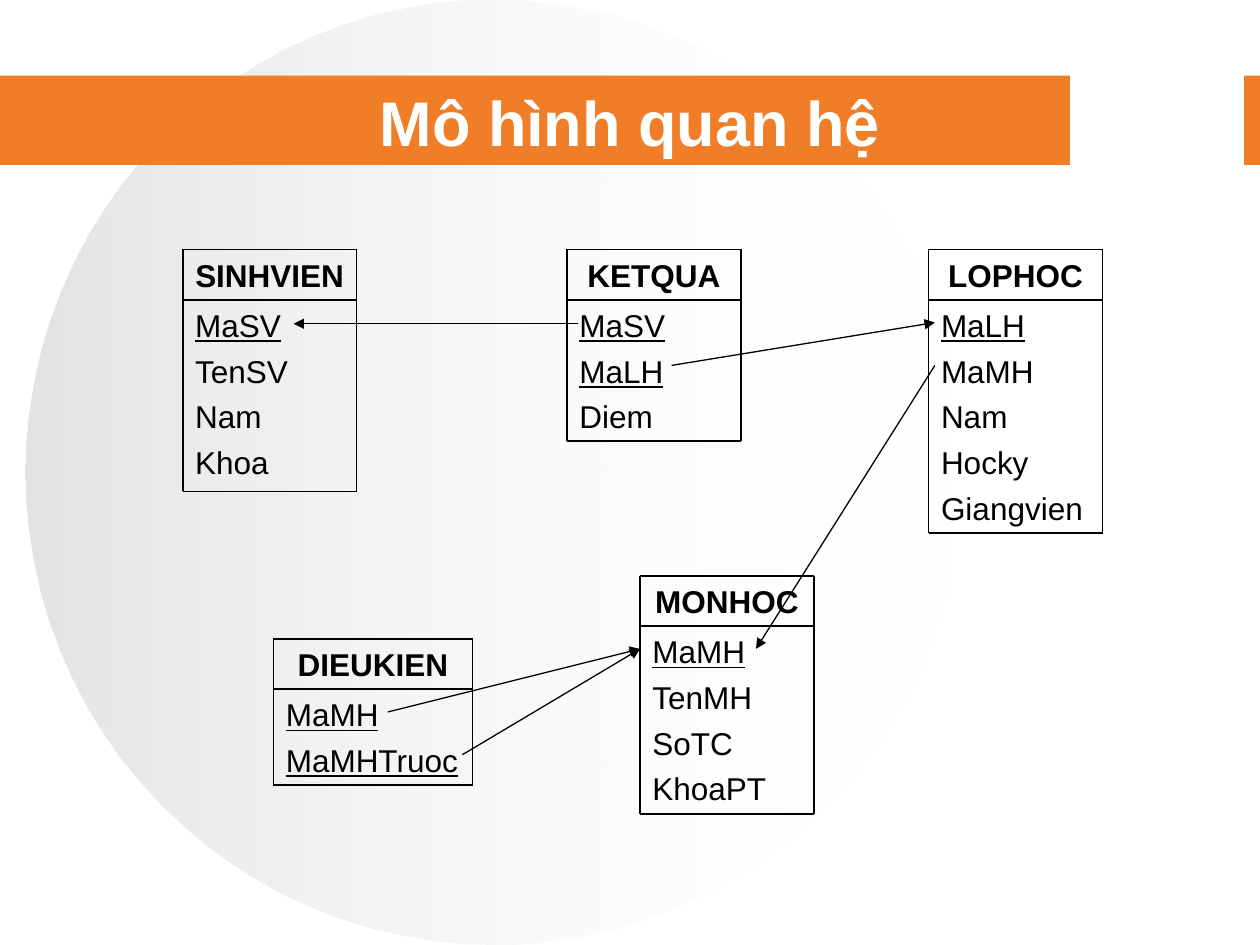
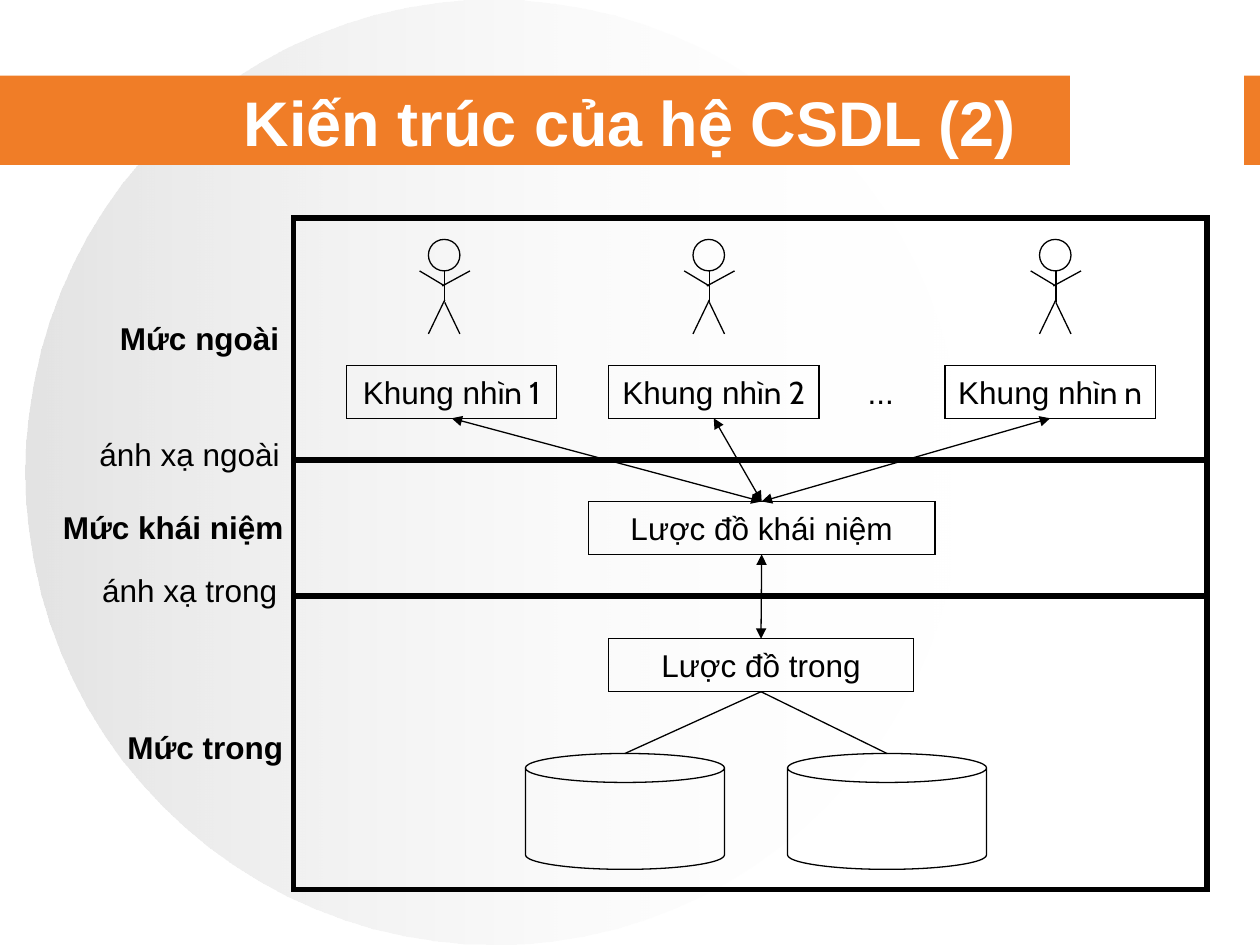
from dataclasses import dataclass

from lxml.etree import SubElement
from pptx import Presentation
from pptx.dml.color import RGBColor
from pptx.enum.shapes import MSO_CONNECTOR, MSO_SHAPE
from pptx.enum.text import MSO_ANCHOR, MSO_AUTO_SIZE, PP_ALIGN
from pptx.oxml.ns import qn
from pptx.util import Inches, Pt


@dataclass(frozen=True)
class Theme:
    orange: RGBColor = RGBColor(0xF0, 0x7D, 0x27)
    white: RGBColor = RGBColor(0xFF, 0xFF, 0xFF)
    grey: RGBColor = RGBColor(0xC0, 0xC0, 0xC0)
    black: RGBColor = RGBColor(0, 0, 0)
    font: str = "Arial"
    accent_font: str = "Cabin"
    title_size: float = 36
    text_size: float = 18
    row_gap: float = 4.5
    thin: float = 0.75
    medium: float = 1
    thick: float = 3


THEME = Theme()

# Relational model: name, left, top, width, body height, key count, columns
RELATIONS = [
    ("SINHVIEN", 1.45, 1.98, 1.38, 1.52, 1, ["MaSV", "TenSV", "Nam", "Khoa"]),
    ("MONHOC", 5.08, 4.57, 1.38, 1.49, 1, ["MaMH", "TenMH", "SoTC", "KhoaPT"]),
    ("LOPHOC", 7.37, 1.98, 1.38, 1.85, 1,
     ["MaLH", "MaMH", "Nam", "Hocky", "Giangvien"]),
    ("KETQUA", 4.5, 1.98, 1.38, 1.12, 2, ["MaSV", "MaLH", "Diem"]),
    ("DIEUKIEN", 2.17, 5.07, 1.58, 0.76, 2, ["MaMH", "MaMHTruoc"]),
]
HEADER_H = 0.4
FOREIGN_KEYS = [
    ((4.59, 2.57), (2.33, 2.57)),
    ((5.33, 2.9), (7.42, 2.56)),
    ((7.42, 2.9), (6, 5.15)),
    ((3.08, 5.65), (5.08, 5.15)),
    ((3.67, 5.99), (5.08, 5.15)),
]

# Database architecture
LEVEL_EDGES = [1.73, 3.65, 4.73, 7.06]
LEVEL_LEFT, LEVEL_W = 2.33, 7.25
# text, bold, left, top, width
LEVEL_LABELS = [
    ("Mức ngoài", True, 0.92, 2.48, 1.33),
    ("ánh xạ ngoài", False, 0.67, 3.4, 1.67),
    ("Mức khái niệm", True, 0.5, 3.98, 1.75),
    ("ánh xạ trong", False, 0.67, 4.48, 1.67),
    ("Mức trong", True, 0.92, 5.73, 1.42),
]
# ending, box left, centre of the user above it
VIEWS = [("ìn 1", 2.75, 3.53), ("ìn 2", 4.83, 5.63), ("ìn n", 7.5, 8.38)]
VIEW_TOP, VIEW_W, BOX_H = 2.9, 1.67, 0.42
CONCEPTUAL = ("Lược đồ khái niệm", 4.67, 3.98, 2.75)
INTERNAL = ("Lược đồ trong", 4.83, 5.07, 2.42)
STORES = [4.17, 6.25]
STORE_TOP, STORE_W, STORE_H = 5.98, 1.58, 0.92
HEAD_TOP, HEAD_SIZE, HEAD_SHIFT = 1.9, 0.25, 0.13
# body, legs and arms, as offsets from the centre of the head's top
LIMBS = [
    ((0, 0.25), (0, 0.5)),
    ((0, 0.48), (-0.13, 0.75)),
    ((0, 0.5), (0.12, 0.75)),
    ((0.2, 0.25), (-0.02, 0.37)),
    ((-0.2, 0.25), (0, 0.37)),
]


def write(tf, paragraphs, size=THEME.text_size, color=THEME.black, bold=False,
          align=PP_ALIGN.CENTER, anchor=MSO_ANCHOR.MIDDLE, wrap=False):
    """Fill a frame; each paragraph is a list of (text, font, underline) runs."""
    tf.word_wrap = wrap
    tf.auto_size = MSO_AUTO_SIZE.NONE
    tf.vertical_anchor = anchor
    for i, runs in enumerate(paragraphs):
        p = tf.paragraphs[0] if i == 0 else tf.add_paragraph()
        p.alignment = align
        if i:
            p.space_before = Pt(THEME.row_gap)
        for text, font, underline in runs:
            r = p.add_run()
            r.text = text
            r.font.name = font
            r.font.size = Pt(size)
            r.font.bold = bold
            r.font.underline = underline
            r.font.color.rgb = color


def plain(text):
    return [[(text, THEME.font, False)]]


def add_outline(shapes, kind, x, y, w, h, weight=THEME.thin):
    """Add an unfilled shape with a black, square-cornered outline."""
    sp = shapes.add_shape(kind, Inches(x), Inches(y), Inches(w), Inches(h))
    sp.shadow.inherit = False
    sp.fill.background()
    sp.line.color.rgb = THEME.black
    sp.line.width = Pt(weight)
    SubElement(sp.line._get_or_add_ln(), qn("a:miter"), lim="800000")
    return sp


def add_line(shapes, start, end, head=False, tail=False, weight=THEME.thin):
    cx = shapes.add_connector(MSO_CONNECTOR.STRAIGHT,
                              *(Inches(v) for v in (*start, *end)))
    cx.line.color.rgb = THEME.black
    cx.line.width = Pt(weight)
    ln = cx.line._get_or_add_ln()
    for tag, wanted in (("a:headEnd", head), ("a:tailEnd", tail)):
        if wanted:
            SubElement(ln, qn(tag), type="triangle")
    SubElement(cx.element.spPr, qn("a:effectLst"))
    return cx


def join(shapes, upper, lower):
    """Two-headed arrow from the bottom of one box to the top of another."""
    cx = add_line(shapes, (0, 0), (1, 1), head=True, tail=True)
    cx.begin_connect(upper, 2)
    cx.end_connect(lower, 0)


def fade(fill):
    """Left-to-right gradient from translucent grey to clear white."""
    fill.gradient()
    fill.gradient_angle = 0
    stops = zip(fill.gradient_stops, (0, 1), (THEME.grey, THEME.white))
    for stop, position, rgb in stops:
        stop.position = position
        stop.color.rgb = rgb


def build_layout(layout, slide):
    """Move the circle and the title band behind the layout's placeholders."""
    circle = add_outline(slide.shapes, MSO_SHAPE.OVAL, 0.2, 0, 7.44, 7.5)
    circle.line.fill.background()
    fade(circle.fill)
    for clr, alpha in zip(circle.element.iter(qn("a:srgbClr")),
                          ("44000", "0")):
        SubElement(clr, qn("a:alpha"), val=alpha)

    parts = [circle]
    for x, w, color in ((0, 10, THEME.orange), (8.5, 1.37, THEME.white)):
        band = add_outline(slide.shapes, MSO_SHAPE.RECTANGLE, x, 0.6, w, 0.71)
        band.fill.solid()
        band.fill.fore_color.rgb = color
        band.line.color.rgb = color
        parts.append(band)
    parts[1].line.fill.background()
    for i, sp in enumerate(parts):
        layout.shapes.element.insert(2 + i, sp.element)

    title = layout.placeholders[0]
    title.left, title.top = Inches(0.25), Inches(0.61)
    title.width, title.height = Inches(9.5), Inches(0.7)


def add_titled_slide(prs, layout, title):
    s = prs.slides.add_slide(layout)
    write(s.shapes.title.text_frame, plain(title), THEME.title_size,
          THEME.white, bold=True, wrap=True)
    return s


def add_text(shapes, paragraphs, x, y, w, h, **style):
    tb = shapes.add_textbox(Inches(x), Inches(y), Inches(w), Inches(h))
    write(tb.text_frame, paragraphs, **style)


def add_relation(shapes, name, x, y, w, body_h, key_count, columns):
    """Name above columns, ruled by three horizontal and two vertical lines."""
    parts = shapes.add_group_shape().shapes
    split, right = y + HEADER_H, x + w
    bottom = split + body_h
    rows = [[(c, THEME.font, i < key_count)] for i, c in enumerate(columns)]
    add_text(parts, rows, x, split, w, body_h, align=PP_ALIGN.LEFT,
             anchor=MSO_ANCHOR.TOP, wrap=True)
    add_text(parts, plain(name), x, y, w, HEADER_H, bold=True,
             anchor=MSO_ANCHOR.TOP, wrap=True)
    for level in (y, split, bottom):
        add_line(parts, (x, level), (right, level), weight=THEME.medium)
    for side in (x, right):
        add_line(parts, (side, y), (side, bottom), weight=THEME.medium)


def add_box(shapes, paragraphs, x, y, w):
    sp = add_outline(shapes, MSO_SHAPE.RECTANGLE, x, y, w, BOX_H)
    write(sp.text_frame, paragraphs)
    return sp


def add_user(shapes, center):
    """Stick figure, grouped."""
    parts = shapes.add_group_shape().shapes
    add_outline(parts, MSO_SHAPE.OVAL, center - HEAD_SHIFT, HEAD_TOP,
                HEAD_SIZE, HEAD_SIZE)
    for limb in LIMBS:
        add_line(parts, *((center + dx, HEAD_TOP + dy) for dx, dy in limb))


def build_model(shapes):
    for relation in RELATIONS:
        add_relation(shapes, *relation)
    for start, end in FOREIGN_KEYS:
        add_line(shapes, start, end, tail=True)


def build_architecture(shapes):
    for top, bottom in zip(LEVEL_EDGES, LEVEL_EDGES[1:]):
        add_outline(shapes, MSO_SHAPE.RECTANGLE, LEVEL_LEFT, top, LEVEL_W,
                    bottom - top, THEME.thick)
    for text, bold, x, y, w in LEVEL_LABELS:
        add_text(shapes, plain(text), x, y, w, BOX_H, bold=bold,
                 anchor=MSO_ANCHOR.TOP)
    add_text(shapes, plain("..."), 6.7, VIEW_TOP, 0.58, BOX_H)

    conceptual, internal = (add_box(shapes, plain(text), x, y, w)
                            for text, x, y, w in (CONCEPTUAL, INTERNAL))
    for ending, x, user_center in VIEWS:
        add_user(shapes, user_center)
        runs = [("Khung nh", THEME.font, False),
                (ending, THEME.accent_font, False)]
        join(shapes, add_box(shapes, [runs], x, VIEW_TOP, VIEW_W), conceptual)
    join(shapes, conceptual, internal)

    for x in STORES:
        add_outline(shapes, MSO_SHAPE.CAN, x, STORE_TOP, STORE_W, STORE_H)
        cx = add_line(shapes, (0, 0), (x + STORE_W / 2, STORE_TOP))
        cx.begin_connect(internal, 2)


def main():
    prs = Presentation()
    prs.slide_width, prs.slide_height = Inches(10), Inches(7.5)
    layout = prs.slide_layouts[5]
    model = add_titled_slide(prs, layout, "Mô hình quan hệ")
    build_layout(layout, model)
    build_model(model.shapes)
    architecture = add_titled_slide(prs, layout, "Kiến trúc của hệ CSDL (2)")
    build_architecture(architecture.shapes)
    prs.save("out.pptx")


if __name__ == "__main__":
    main()
